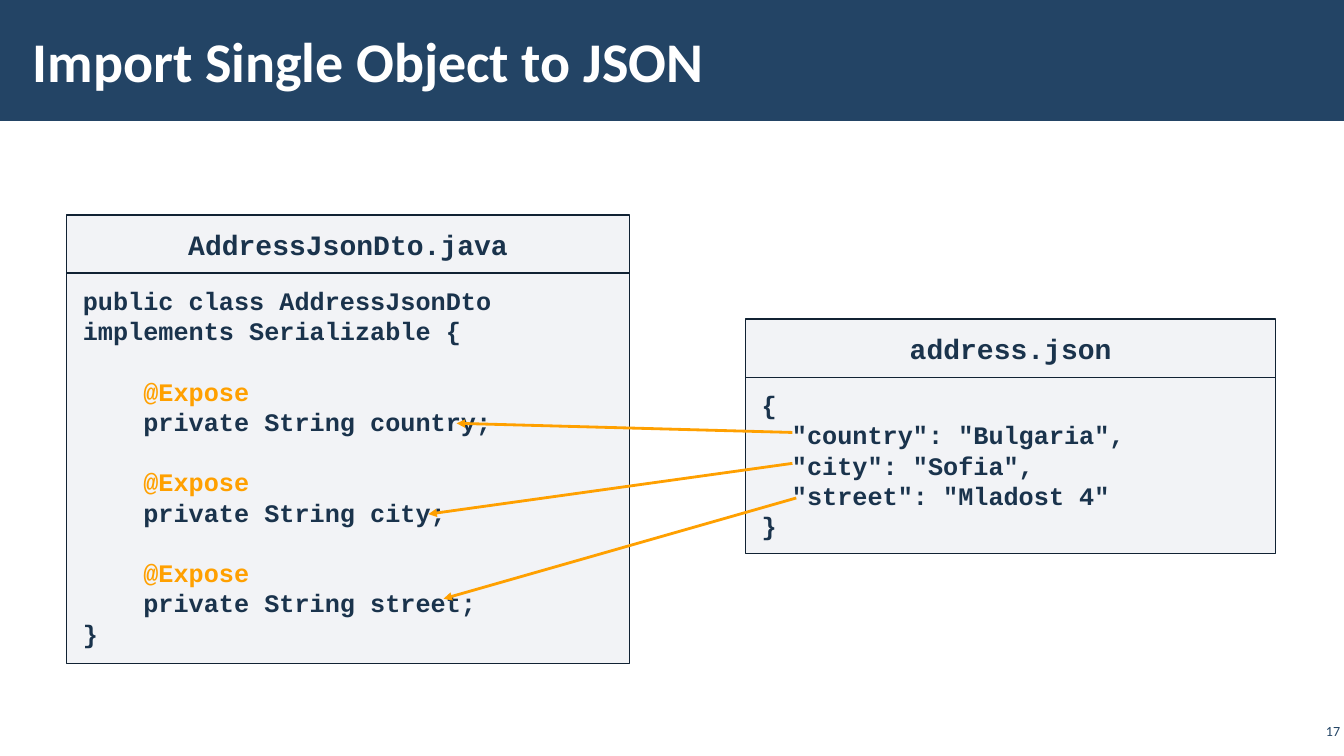
"""Build a slide that maps the fields of a Java class to the keys of a JSON file."""
from dataclasses import dataclass

from lxml import etree
from pptx import Presentation
from pptx.dml.color import RGBColor
from pptx.enum.shapes import MSO_CONNECTOR, MSO_SHAPE
from pptx.enum.text import MSO_ANCHOR, PP_ALIGN
from pptx.oxml.ns import qn
from pptx.util import Pt

RECT = MSO_SHAPE.RECTANGLE
STRAIGHT = MSO_CONNECTOR.STRAIGHT
TOP, MIDDLE = MSO_ANCHOR.TOP, MSO_ANCHOR.MIDDLE
LEFT, CENTER, RIGHT = PP_ALIGN.LEFT, PP_ALIGN.CENTER, PP_ALIGN.RIGHT

WHITE = RGBColor(0xFF, 0xFF, 0xFF)
NAVY = RGBColor(0x23, 0x44, 0x65)
INK = RGBColor(0x1A, 0x33, 0x4C)
BORDER = RGBColor(0x11, 0x22, 0x33)
PANEL = RGBColor(0xAD, 0xB4, 0xC3)
ORANGE = RGBColor(0xFF, 0xA0, 0x00)

SANS, MONO = "Calibri", "Courier New"
CODE_SIZE, CODE_PITCH, CHAR_WIDTH = 18, 21.6, 10.8
HEADER_HEIGHT = 41.6


@dataclass
class Line:
    text: str
    indent: int = 0
    gap: int = 0
    color: RGBColor = INK


@dataclass
class CodeBox:
    name: str
    x: float
    y: float
    w: float
    body_h: float
    lines: list[Line]


@dataclass
class Arrow:
    x1: float
    y1: float
    x2: float
    y2: float


def field(name: str) -> list[Line]:
    return [Line("@Expose", 4, 1, ORANGE), Line(f"private String {name};", 4)]


BOXES = [
    CodeBox("AddressJsonDto.java", 47.7, 153.5, 402, 278.8, [
        Line("public class AddressJsonDto implements Serializable {"),
        *field("country"), *field("city"), *field("street"), Line("}")]),
    CodeBox("address.json", 532.6, 228, 378.7, 126, [
        Line("{"), Line('"country": "Bulgaria",', 2), Line('"city": "Sofia",', 2),
        Line('"street": "Mladost 4"', 2), Line("}")]),
]
ARROWS = [
    Arrow(566, 308.9, 326.2, 302.4),
    Arrow(566, 331, 306, 367.2),
    Arrow(568.8, 355.7, 316.8, 427.7),
]


def write(sp, lines: list[Line], *, size: float, font: str = MONO, bold: bool = True,
          align: PP_ALIGN = LEFT, anchor: MSO_ANCHOR = TOP, pitch: float | None = None,
          margins: tuple[float, float] = (11.5, 8.6)) -> None:
    tf = sp.text_frame
    tf.word_wrap = True
    tf.vertical_anchor = anchor
    tf.margin_left = tf.margin_right = Pt(margins[0])
    tf.margin_top = tf.margin_bottom = Pt(margins[1])
    for i, line in enumerate(lines):
        p = tf.add_paragraph() if i else tf.paragraphs[0]
        p.alignment = align
        if pitch:
            p.line_spacing = Pt(pitch)
            p.space_before = Pt(line.gap * pitch)
        if line.indent:
            p._p.get_or_add_pPr().set("marL", str(Pt(line.indent * CHAR_WIDTH)))
        r = p.add_run()
        r.text = line.text
        r.font.size, r.font.name, r.font.bold = Pt(size), font, bold
        r.font.color.rgb = line.color


def add_rect(s, x: float, y: float, w: float, h: float, fill: RGBColor):
    sp = s.shapes.add_shape(RECT, Pt(x), Pt(y), Pt(w), Pt(h))
    sp.shadow.inherit = False
    sp.fill.solid()
    sp.fill.fore_color.rgb = fill
    sp.line.fill.background()
    return sp


def add_panel(s, x: float, y: float, w: float, h: float):
    sp = add_rect(s, x, y, w, h, PANEL)
    color = sp._element.spPr.find(qn("a:solidFill"))[0]
    etree.SubElement(color, qn("a:alpha"), val="15000")
    sp.line.color.rgb = BORDER
    sp.line.width = Pt(1)
    return sp


def add_code_box(s, box: CodeBox) -> None:
    body = add_panel(s, box.x, box.y + HEADER_HEIGHT, box.w, box.body_h)
    write(body, box.lines, size=CODE_SIZE, pitch=CODE_PITCH)
    header = add_panel(s, box.x, box.y, box.w, HEADER_HEIGHT)
    write(header, [Line(box.name)], size=20, align=CENTER, anchor=MIDDLE, pitch=24)


def add_arrow(s, arrow: Arrow) -> None:
    cn = s.shapes.add_connector(STRAIGHT, Pt(arrow.x1), Pt(arrow.y1),
                                Pt(arrow.x2), Pt(arrow.y2))
    cn.line.color.rgb = ORANGE
    cn.line.width = Pt(2)
    etree.SubElement(cn.line._get_or_add_ln(), qn("a:tailEnd"), type="triangle")
    etree.SubElement(cn._element.spPr, qn("a:effectLst"))


def main() -> None:
    prs = Presentation()
    prs.slide_width, prs.slide_height = Pt(960), Pt(540)
    s = prs.slides.add_slide(prs.slide_layouts[6])
    add_rect(s, 0, 0, 960, 86.4, NAVY)
    title = s.shapes.add_textbox(Pt(15), Pt(8), Pt(748), Pt(70))
    write(title, [Line("Import Single Object to JSON", color=WHITE)], size=40,
          font=SANS, anchor=MIDDLE, margins=(8.5, 2.8))
    number = s.shapes.add_textbox(Pt(926), Pt(514), Pt(34), Pt(16))
    write(number, [Line("17", color=NAVY)], size=10, font=SANS, bold=False,
          align=RIGHT, anchor=MIDDLE, margins=(2.8, 2.8))
    for box in BOXES:
        add_code_box(s, box)
    for arrow in ARROWS:
        add_arrow(s, arrow)
    prs.save("out.pptx")


if __name__ == "__main__":
    main()
